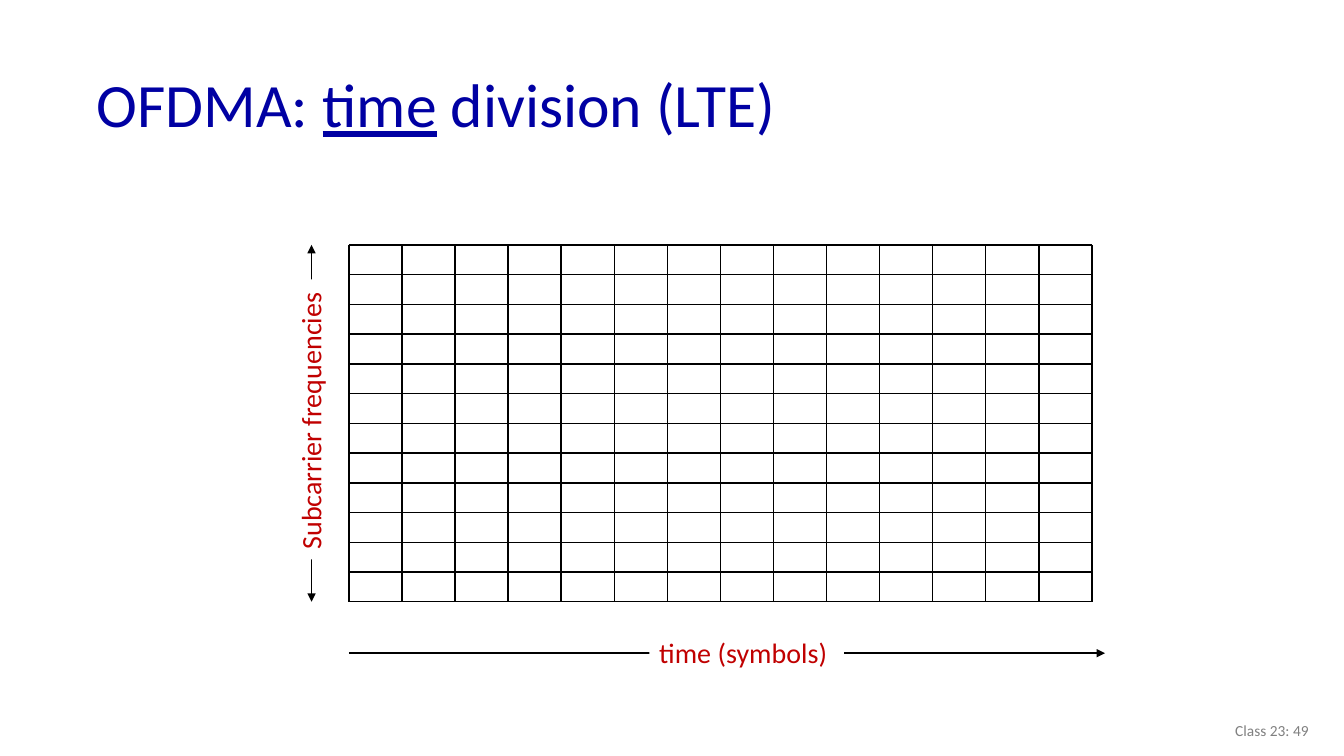
import pptx
import pptx.util
import pptx.dml.color
import pptx.enum.shapes
import pptx.enum.text
import pptx.oxml
import pptx.oxml.ns

Inches = pptx.util.Inches
Align = pptx.enum.text.PP_ALIGN
Anchor = pptx.enum.text.MSO_ANCHOR
hues = {"title": "0000A3", "label": "C00000", "foot": "808080",
        "line": "000000", "back": "FFFFFF"}

deck = pptx.Presentation()
deck.slide_width = Inches(13.33)
deck.slide_height = Inches(7.5)
slide = deck.slides.add_slide(deck.slide_layouts[6])


def add_line(x1, y1, x2, y2, width=1, ends=()):
    line = slide.shapes.add_connector(
        pptx.enum.shapes.MSO_CONNECTOR.STRAIGHT,
        Inches(x1), Inches(y1), Inches(x2), Inches(y2))
    line.line.color.rgb = pptx.dml.color.RGBColor.from_string(hues["line"])
    line.line.width = pptx.util.Pt(width)
    for end in ends:
        tip = pptx.oxml.parse_xml(
            f'<a:{end} {pptx.oxml.ns.nsdecls("a")} type="triangle"/>')
        line.line._get_or_add_ln().append(tip)
    line._element.spPr.append(pptx.oxml.parse_xml(
        f'<a:effectLst {pptx.oxml.ns.nsdecls("a")}/>'))


def add_text(left, top, width, height, parts, size, hue,
             wrap=True, anchor=Anchor.MIDDLE, align=Align.LEFT):
    box = slide.shapes.add_textbox(
        Inches(left), Inches(top), Inches(width), Inches(height))
    frame = box.text_frame
    frame.word_wrap = wrap
    frame.vertical_anchor = anchor
    para = frame.paragraphs[0]
    para.alignment = align
    for part in parts:
        para.add_run().text = part
    para.font.name = "Calibri"
    para.font.size = pptx.util.Pt(size)
    para.font.color.rgb = pptx.dml.color.RGBColor.from_string(hues[hue])
    return box


# Title
title = add_text(0.86, 0.58, 11.5, 0.98,
                 ["OFDMA: ", "time", " division (LTE)"], 44, "title")
head = title.text_frame.paragraphs[0]
head.line_spacing = 0.9
head.runs[1].font.underline = True

# Grid of subcarriers and symbols
left, right, top, foot = 3.46, 10.83, 2.43, 5.97
rows, cols = 12, 14
for row in range(rows + 1):
    y = top + row * (foot - top) / rows
    add_line(left, y, right, y)
for col in range(cols + 1):
    x = left + col * (right - left) / cols
    add_line(x, top, x, foot)

# Axis arrows
add_line(3.09, top, 3.09, foot, 0.5, ["headEnd", "tailEnd"])
add_line(left, 6.48, 10.96, 6.48, 1, ["tailEnd"])

# Axis labels, which cover the middle of each arrow
for x, y, width, turn, text in [
        (1.69, 3.94, 2.78, 270, "Subcarrier frequencies"),
        (6.44, 6.26, 1.93, 0, "time (symbols)")]:
    label = add_text(x, y, width, 0.44, [text], 20, "label",
                     wrap=False, anchor=Anchor.TOP)
    label.rotation = turn
    label.text_frame.auto_size = pptx.enum.text.MSO_AUTO_SIZE.SHAPE_TO_FIT_TEXT
    label.fill.solid()
    label.fill.fore_color.rgb = pptx.dml.color.RGBColor.from_string(hues["back"])

# Page number
add_text(10.08, 7.05, 3, 0.4, ["Class 23: 49"], 11, "foot", align=Align.RIGHT)

deck.save("out.pptx")
